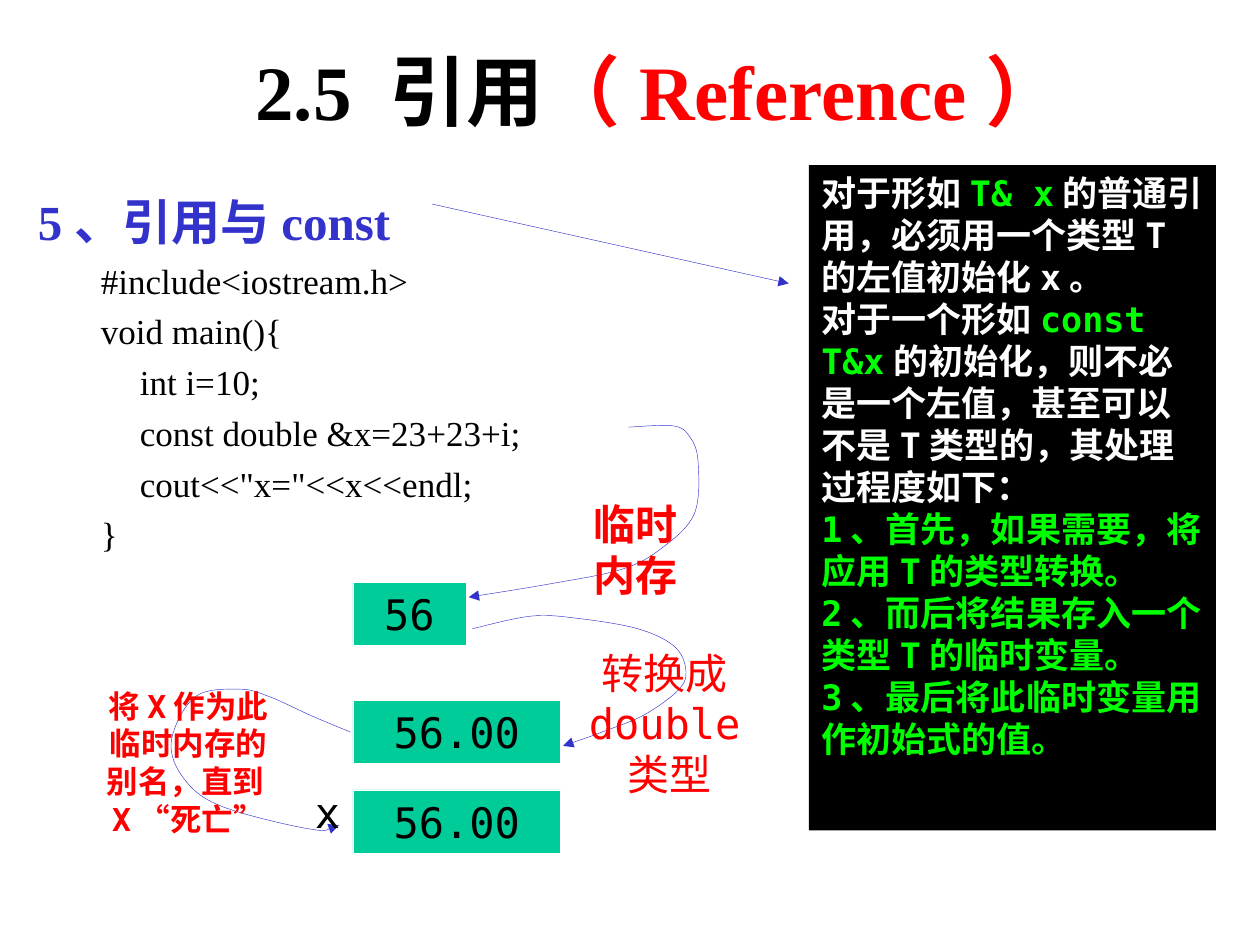
from lxml import etree
from pptx import Presentation
from pptx.dml.color import RGBColor
from pptx.enum.shapes import MSO_CONNECTOR, MSO_SHAPE
from pptx.enum.text import MSO_ANCHOR, MSO_AUTO_SIZE, PP_ALIGN
from pptx.oxml.ns import qn
from pptx.util import Inches, Pt

RECTANGLE = MSO_SHAPE.RECTANGLE
STRAIGHT = MSO_CONNECTOR.STRAIGHT
TOP, MIDDLE = MSO_ANCHOR.TOP, MSO_ANCHOR.MIDDLE
LEFT, CENTER = PP_ALIGN.LEFT, PP_ALIGN.CENTER
NO_AUTOFIT = MSO_AUTO_SIZE.NONE

COLORS = {"black": "000000", "white": "FFFFFF", "red": "FF0000",
          "blue": "3333CC", "teal": "00CC99", "green": "00FF00"}
SERIF, MONO = "Times New Roman", "DejaVu Sans Mono"
HAIRLINE = Pt(0.25)

# Body lines are (outline level, text); each level has one style
HEADING, CODE = 0, 1
BODY_STYLES = {
    HEADING: {"margin": 0.38, "indent": -0.38, "before": 7,
              "size": 28, "color": "blue", "bold": True},
    CODE: {"margin": 0.81, "indent": -0.31, "before": 5,
           "size": 20, "color": "black", "bold": False},
}
BODY_LINES = [
    (HEADING, "5、引用与const"),
    (CODE, "#include<iostream.h>"),
    (CODE, "void main(){"),
    (CODE, "\tint i=10;"),
    (CODE, "\tconst double &x=23+23+i;"),
    (CODE, '\tcout<<"x="<<x<<endl;'),
    (CODE, "}"),
]

# Each paragraph is a list of (text, colour) runs
RULES = [
    [("对于形如", "white"), ("T& x", "green"),
     ("的普通引用，必须用一个类型T的左值初始化x。", "white")],
    [("对于一个形如", "white"), ("const T&x", "green"),
     ("的初始化，则不必是一个左值，甚至可以不是T类型的，其处理过程度如下：", "white")],
    [("1、首先，如果需要，将应用T的类型转换。", "green")],
    [("2、而后将结果存入一个类型T的临时变量。", "green")],
    [("3、最后将此临时变量用作初始式的值。", "green")],
]

# Memory cells share a left edge and a height: (value, top, width)
CELL_LEFT, CELL_HEIGHT = 2.8, 0.5
CELLS = [("56", 4.62, 0.9), ("56.00", 5.56, 1.65), ("56.00", 6.27, 1.65)]

# Notes: (text, box, size, colour, bold)
NOTES = [
    ("临时内存", (4.53, 3.91, 1.02, 0.9), 24, "red", True),
    ("x", (2.4, 6.19, 0.39, 0.5), 24, "black", False),
    ("转换成double类型", (4.53, 5.09, 1.57, 1.3), 24, "red", False),
    ("将X作为此临时内存的别名，直到X“死亡”", (0.75, 5.4, 1.49, 1.3), 18, "red", True),
]
NOTE_SPACING = 0.62  # space before, as a share of the text size

# Turning points that each curved arrow passes through
CONVERSION_ARROWS = {
    "expression to 56": [
        (4.99, 3.39), (5.34, 3.38), (5.47, 3.46), (5.54, 3.66), (5.51, 4.08),
        (5.24, 4.36), (4.93, 4.52), (4.39, 4.63), (3.72, 4.74)],
    "56 to 56.00": [
        (3.75, 4.99), (4.22, 4.89), (4.6, 4.91), (5.06, 4.99), (5.34, 5.12),
        (5.44, 5.29), (5.4, 5.46), (5.12, 5.67), (4.78, 5.81), (4.47, 5.92)],
    "56.00 to x": [
        (2.78, 5.81), (2.47, 5.68), (2.14, 5.53), (1.9, 5.47), (1.55, 5.53),
        (1.36, 5.88), (1.46, 6.18), (1.76, 6.4), (2.46, 6.58), (2.69, 6.55)],
}


def rgb(color):
    return RGBColor.from_string(COLORS[color])


def place(shape, box):
    shape.left, shape.top, shape.width, shape.height = map(Inches, box)


def prepare_frame(shape, anchor=TOP):
    frame = shape.text_frame
    frame.word_wrap = True
    frame.auto_size = NO_AUTOFIT
    frame.vertical_anchor = anchor
    return frame


def next_paragraph(frame, index):
    return frame.add_paragraph() if index else frame.paragraphs[0]


def add_run(paragraph, text, color, size, font, bold):
    run = paragraph.add_run()
    run.text = text
    run.font.size, run.font.name, run.font.bold = Pt(size), font, bold
    run.font.color.rgb = rgb(color)


def write_paragraphs(frame, paragraphs, size, font, bold=False, align=LEFT, before=0):
    for index, runs in enumerate(paragraphs):
        paragraph = next_paragraph(frame, index)
        paragraph.alignment = align
        paragraph.space_before = Pt(before)
        for text, color in runs:
            add_run(paragraph, text, color, size, font, bold)


def add_box(slide, box, fill, outline=None):
    shape = slide.shapes.add_shape(RECTANGLE, *map(Inches, box))
    shape.shadow.inherit = False
    shape.fill.solid()
    shape.fill.fore_color.rgb = rgb(fill)
    if outline:
        shape.line.color.rgb = rgb(outline)
        shape.line.width = HAIRLINE
    else:
        shape.line.fill.background()
    return shape


def style_arrow(arrow):
    arrow.line.color.rgb = rgb("blue")
    arrow.line.width = HAIRLINE
    properties = arrow.element.spPr
    etree.SubElement(properties.find(qn("a:ln")), qn("a:tailEnd"), type="triangle")
    etree.SubElement(properties, qn("a:effectLst"))


def bezier_points(stops):
    """Catmull-Rom rule: at each stop the curve runs parallel to its neighbours' chord."""
    padded = [stops[0], *stops, stops[-1]]
    points = []
    for before, start, end, after in zip(padded, padded[1:], padded[2:], padded[3:]):
        leaving = [s + (e - b) / 6 for b, s, e in zip(before, start, end)]
        arriving = [e - (a - s) / 6 for s, e, a in zip(start, end, after)]
        points += [leaving, arriving, end]
    return points


def add_curved_arrow(slide, stops):
    builder = slide.shapes.build_freeform(*map(Inches, stops[0]))
    builder.add_line_segments([(Inches(x), Inches(y)) for x, y in bezier_points(stops)],
                              close=False)
    curve = builder.convert_to_shape()
    curve.fill.background()
    # Merge every three straight steps into one cubic segment
    steps = list(curve.element.iter(qn("a:lnTo")))
    for segment in zip(steps[::3], steps[1::3], steps[2::3]):
        outline = segment[0].getparent()
        cubic = etree.SubElement(outline, qn("a:cubicBezTo"))
        for step in segment:
            cubic.append(step[0])
            outline.remove(step)
    style_arrow(curve)


def fill_title(title):
    place(title, (0.98, 0.28, 8.5, 0.87))
    write_paragraphs(prepare_frame(title, MIDDLE),
                     [[("2.5 引用", "black"), ("（Reference）", "red")]],
                     44, SERIF, True, CENTER)


def fill_body(body):
    place(body, (0.2, 1.47, 5.51, 5.12))
    frame = prepare_frame(body)
    for index, (level, text) in enumerate(BODY_LINES):
        style = BODY_STYLES[level]
        paragraph = next_paragraph(frame, index)
        paragraph.level = level
        paragraph.space_before = Pt(style["before"])
        properties = paragraph._p.get_or_add_pPr()
        properties.set("marL", str(Inches(style["margin"])))
        properties.set("indent", str(Inches(style["indent"])))
        etree.SubElement(properties, qn("a:buNone"))
        add_run(paragraph, text, style["color"], style["size"], SERIF, style["bold"])


def add_rules_panel(slide):
    panel = add_box(slide, (6.42, 1.31, 3.23, 5.28), "black")
    frame = prepare_frame(panel)
    frame.margin_right = Pt(7.25)
    write_paragraphs(frame, RULES, 20, MONO, True)


def add_cell(slide, value, top, width):
    cell = add_box(slide, (CELL_LEFT, top, width, CELL_HEIGHT), "teal", "white")
    write_paragraphs(prepare_frame(cell, MIDDLE), [[(value, "black")]],
                     24, MONO, align=CENTER)


def add_note(slide, text, box, size, color, bold):
    note = slide.shapes.add_textbox(*map(Inches, box))
    write_paragraphs(prepare_frame(note), [[(text, color)]],
                     size, MONO, bold, CENTER, size * NOTE_SPACING)


def main():
    presentation = Presentation()
    presentation.slide_width, presentation.slide_height = Inches(10), Inches(7.5)
    slide = presentation.slides.add_slide(presentation.slide_layouts[1])

    # Heading and code
    fill_title(slide.shapes.title)
    fill_body(slide.placeholders[1])

    # Rules panel and the arrow leading to it
    add_rules_panel(slide)
    rules_arrow = slide.shapes.add_connector(STRAIGHT, *map(Inches, (3.43, 1.62, 6.26, 2.25)))
    style_arrow(rules_arrow)

    # Memory cells, the conversions between them, and notes
    for cell in CELLS:
        add_cell(slide, *cell)
    for stops in CONVERSION_ARROWS.values():
        add_curved_arrow(slide, stops)
    for note in NOTES:
        add_note(slide, *note)

    presentation.save("out.pptx")


if __name__ == "__main__":
    main()
